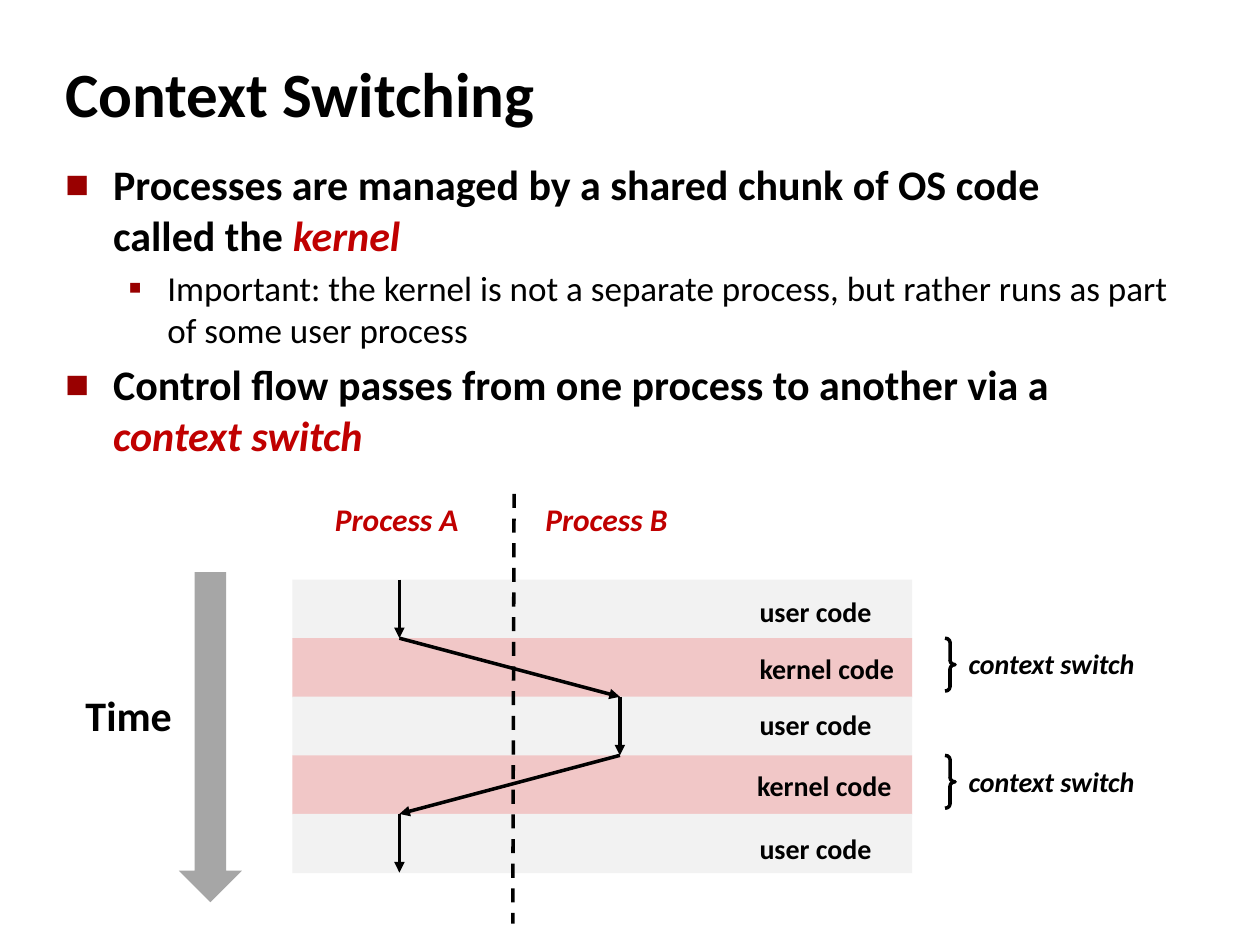
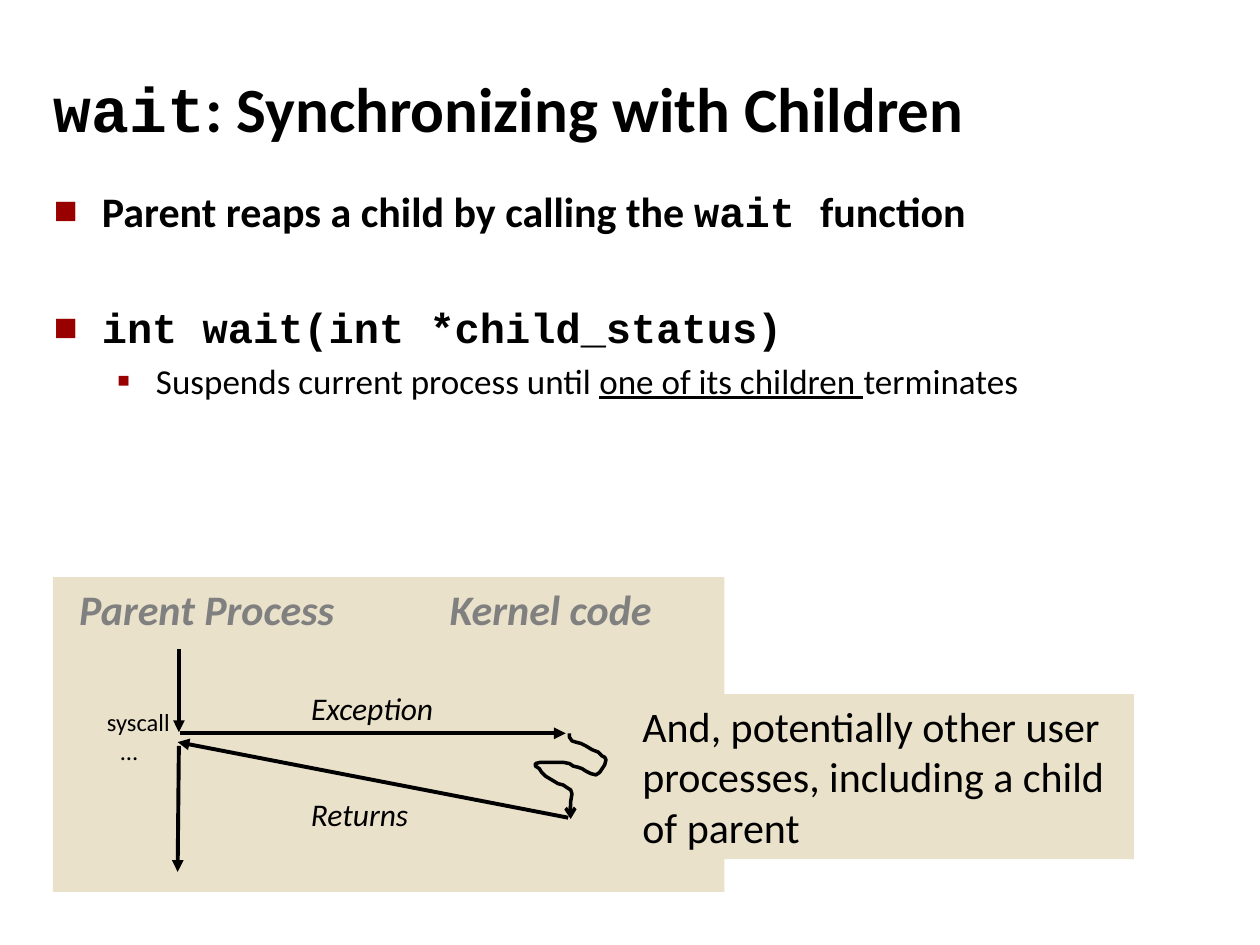
import itertools

import pptx
import pptx.dml.color
import pptx.enum.dml
import pptx.enum.shapes
import pptx.enum.text
import pptx.oxml
import pptx.oxml.ns
import pptx.util
from pptx.util import Inches

RGBColor = pptx.dml.color.RGBColor
Shape = pptx.enum.shapes.MSO_SHAPE

BLACK = RGBColor(0x00, 0x00, 0x00)
RED = RGBColor(0xC0, 0x00, 0x00)
BULLET_RED = RGBColor(0x99, 0x00, 0x00)
GRAY = RGBColor(0x80, 0x80, 0x80)
ARROW_GRAY = RGBColor(0xA6, 0xA6, 0xA6)
USER_BAND = RGBColor(0xF2, 0xF2, 0xF2)
KERNEL_BAND = RGBColor(0xF1, 0xC7, 0xC7)
SAND = RGBColor(0xE9, 0xE1, 0xC9)

FONT = "Calibri"
CODE_FONT = "Courier New"
CODE = {"name": CODE_FONT}
TERM = {"color": RED, "italic": True}

# One entry a level: margin, hanging indent, bullet, bullet size, text size
LEVELS = [
    (0.38, 0.38, "■", 60, 24),
    (0.81, 0.31, "▪", 110, 20),
]

BAND_TOP, BAND_STEP = 4.6, 0.465
PROCESS_A, PROCESS_B = 3.17, 4.92

KERNEL_CURVE = [
    (4.52, 5.82), (4.52, 5.85), (4.54, 5.88), (4.57, 5.89), (4.61, 5.9),
    (4.65, 5.92), (4.7, 5.95), (4.75, 5.97), (4.78, 6), (4.8, 6.01),
    (4.81, 6.03), (4.8, 6.07), (4.78, 6.1), (4.76, 6.13), (4.73, 6.15),
    (4.69, 6.14), (4.65, 6.12), (4.62, 6.1), (4.59, 6.09), (4.55, 6.08),
    (4.52, 6.06), (4.47, 6.05), (4.41, 6.05), (4.29, 6.05), (4.25, 6.06),
    (4.25, 6.08), (4.28, 6.1), (4.3, 6.13), (4.33, 6.16), (4.38, 6.19),
    (4.43, 6.22), (4.47, 6.23), (4.5, 6.25), (4.53, 6.27), (4.54, 6.3),
    (4.53, 6.36), (4.53, 6.39), (4.52, 6.44), (4.52, 6.47), (4.53, 6.5),
]


def add_element(parent, tag, **attributes):
    element = pptx.oxml.parse_xml(
        f"<a:{tag} {pptx.oxml.ns.nsdecls('a')}/>")
    for key, value in attributes.items():
        element.set(key, str(value))
    parent.append(element)
    return element


def style_font(font, size, color=BLACK, bold=False, italic=False,
               underline=False, name=FONT):
    font.name = name
    font.size = pptx.util.Pt(size)
    font.color.rgb = color
    font.bold = bold
    font.italic = italic
    font.underline = underline


def write_spans(para, spans, size, bold):
    """Write (text, style) pairs; the text "\\v" breaks the line."""
    for text, style in spans:
        if text == "\v":
            para.add_line_break()
            continue
        span = para.add_run()
        span.text = text
        style_font(span.font, size, bold=bold, **style)


def add_box(page, left, top, width, height, wrap=True):
    box = page.shapes.add_textbox(
        Inches(left), Inches(top), Inches(width), Inches(height))
    box.text_frame.word_wrap = wrap
    return box


def add_title(page, left, top, width, spans):
    box = add_box(page, left, top, width, 0.63)
    box.text_frame.vertical_anchor = pptx.enum.text.MSO_ANCHOR.MIDDLE
    write_spans(box.text_frame.paragraphs[0], spans, 36, True)


def add_bullets(page, left, top, width, height, items):
    """Write (level, extra points before, spans) items as bullets."""
    frame = add_box(page, left, top, width, height).text_frame
    for index, (level, gap, spans) in enumerate(items):
        para = frame.add_paragraph() if index else frame.paragraphs[0]
        margin, hanging, bullet, bullet_size, size = LEVELS[level]
        properties = para._p.get_or_add_pPr()
        properties.set("marL", str(Inches(margin)))
        properties.set("indent", str(-Inches(hanging)))
        color = add_element(properties, "buClr")
        add_element(color, "srgbClr", val=BULLET_RED)
        add_element(properties, "buSzPct", val=bullet_size * 1000)
        add_element(properties, "buFont", typeface=FONT)
        add_element(properties, "buChar", char=bullet)
        para.level = level
        if index:
            para.space_before = pptx.util.Pt(0.2 * size + gap)
        write_spans(para, spans, size, level == 0)


def add_label(page, left, top, width, text, size, **style):
    height = round(size * 1.22 / 72 + 0.1, 2)
    frame = add_box(page, left, top, width, height, wrap=False).text_frame
    frame.auto_size = pptx.enum.text.MSO_AUTO_SIZE.SHAPE_TO_FIT_TEXT
    frame.text = text
    style_font(frame.paragraphs[0].runs[0].font, size, **style)


def add_panel(page, kind, left, top, width, height, fill):
    panel = page.shapes.add_shape(
        kind, Inches(left), Inches(top), Inches(width), Inches(height))
    panel.shadow.inherit = False
    panel.fill.solid()
    panel.fill.fore_color.rgb = fill
    panel.line.fill.background()
    return panel


def style_line(shape, width, head=None):
    shape.line.color.rgb = BLACK
    shape.line.width = pptx.util.Pt(width)
    if head:
        add_element(shape.line._get_or_add_ln(), "tailEnd", type=head)


def add_line(page, start, end, width=2, head="triangle"):
    line = page.shapes.add_connector(
        pptx.enum.shapes.MSO_CONNECTOR.STRAIGHT,
        *(Inches(value) for value in start + end))
    style_line(line, width, head)
    add_element(line._element.spPr, "effectLst")
    return line


def add_brace(page, left, top):
    brace = page.shapes.add_shape(
        Shape.RIGHT_BRACE, Inches(left), Inches(top),
        Inches(0.08), Inches(0.42))
    brace.shadow.inherit = False
    brace.fill.background()
    brace.adjustments[0] = 0.42
    style_line(brace, 2)


def add_curve(page, points):
    places = [(Inches(x), Inches(y)) for x, y in points]
    builder = page.shapes.build_freeform(*places[0])
    builder.add_line_segments(places[1:], close=False)
    curve = builder.convert_to_shape()
    curve.shadow.inherit = False
    curve.fill.background()
    style_line(curve, 2, "arrow")


def build_context_switching(page):
    add_title(page, 0.42, 0.42, 6.39, [("Context Switching", {})])
    add_bullets(page, 0.42, 1.21, 9.07, 2.79, [
        (0, 0, [("Processes are managed by a shared chunk of OS code ", {}),
                ("\v", {}), ("called the ", {}), ("kernel", TERM)]),
        (1, 0, [("Important: the kernel is not a separate process, but "
                 "rather runs as part of some user process", {})]),
        (0, 0, [("Control flow passes from one process to another via a ",
                 {}), ("context switch", TERM)]),
    ])

    edges = [BAND_TOP + BAND_STEP * index for index in range(6)]
    label_places = [(5.93, 4.67), (5.93, 5.12), (5.93, 5.57),
                    (5.91, 6.05), (5.93, 6.55)]
    for index, (left, top) in enumerate(label_places):
        in_kernel = index % 2 == 1
        add_panel(page, Shape.RECTANGLE, 2.32, edges[index], 4.92, 0.47,
                  KERNEL_BAND if in_kernel else USER_BAND)
        add_label(page, left, top, 1.28 if in_kernel else 1.1,
                  "kernel code" if in_kernel else "user code", 16, bold=True)
        if in_kernel:
            add_brace(page, 7.5, edges[index])
            add_label(page, 7.59, edges[index] + 0.02, 1.54,
                      "context switch", 16, bold=True, italic=True)

    for left, name in [(2.56, "Process A"), (4.23, "Process B")]:
        add_label(page, left, 3.92, 1.2, name, 18, bold=True, **TERM)
    divider = add_line(page, (4.08, 3.92), (4.07, 7.33), head=None)
    divider.line.dash_style = pptx.enum.dml.MSO_LINE.DASH

    columns = [PROCESS_A, PROCESS_A, PROCESS_B, PROCESS_B,
               PROCESS_A, PROCESS_A]
    for start, end in itertools.pairwise(zip(columns, edges)):
        add_line(page, start, end)

    add_label(page, 0.58, 5.42, 0.89, "Time", 24, bold=True)
    add_panel(page, Shape.DOWN_ARROW, 1.42, 4.54, 0.5, 2.62, ARROW_GRAY)


def build_wait(page):
    add_title(page, 0.33, 0.54, 9.08, [
        ("wait", CODE), (": Synchronizing with Children", {})])
    add_bullets(page, 0.33, 1.42, 9.03, 2.42, [
        (0, 0, [("Parent reaps a child by calling the ", {}),
                ("wait ", CODE), ("function", {})]),
        (0, 33, [("int wait(int *child_status)", CODE)]),
        (1, 0, [("Suspends current process until ", {}),
                ("one of its children ", {"underline": True}),
                ("terminates", {})]),
    ])

    add_panel(page, Shape.RECTANGLE, 0.42, 4.58, 5.33, 2.5, SAND)
    for left, width, text in [(0.53, 2.24, "Parent Process"),
                              (3.47, 1.95, "Kernel code")]:
        add_label(page, left, 4.58, width, text, 24, color=GRAY,
                  bold=True, italic=True)
    for start, end in [((1.42, 5.15), (1.42, 5.81)),
                       ((1.43, 5.82), (4.49, 5.82)),
                       ((4.51, 6.49), (1.41, 5.89)),
                       ((1.42, 5.92), (1.41, 6.92))]:
        add_line(page, start, end, 2.25)
    add_label(page, 2.37, 5.42, 1.25, "Exception", 18, italic=True)
    add_label(page, 2.37, 6.26, 1, "Returns", 18, italic=True)
    add_label(page, 0.75, 5.56, 0.71, "syscall", 14)
    add_label(page, 0.86, 5.79, 0.35, "…", 14)
    add_curve(page, KERNEL_CURVE)

    remark = add_panel(page, Shape.RECTANGLE, 5, 5.51, 4, 1.31, SAND)
    frame = remark.text_frame
    frame.word_wrap = True
    frame.vertical_anchor = pptx.enum.text.MSO_ANCHOR.TOP
    frame.text = ("And, potentially other user processes, "
                  "including a child of parent")
    para = frame.paragraphs[0]
    para.alignment = pptx.enum.text.PP_ALIGN.LEFT
    style_font(para.runs[0].font, 24)


def main():
    deck = pptx.Presentation()
    deck.slide_width = Inches(10)
    deck.slide_height = Inches(7.5)
    for build in (build_context_switching, build_wait):
        build(deck.slides.add_slide(deck.slide_layouts[6]))
    deck.save("out.pptx")


if __name__ == "__main__":
    main()
